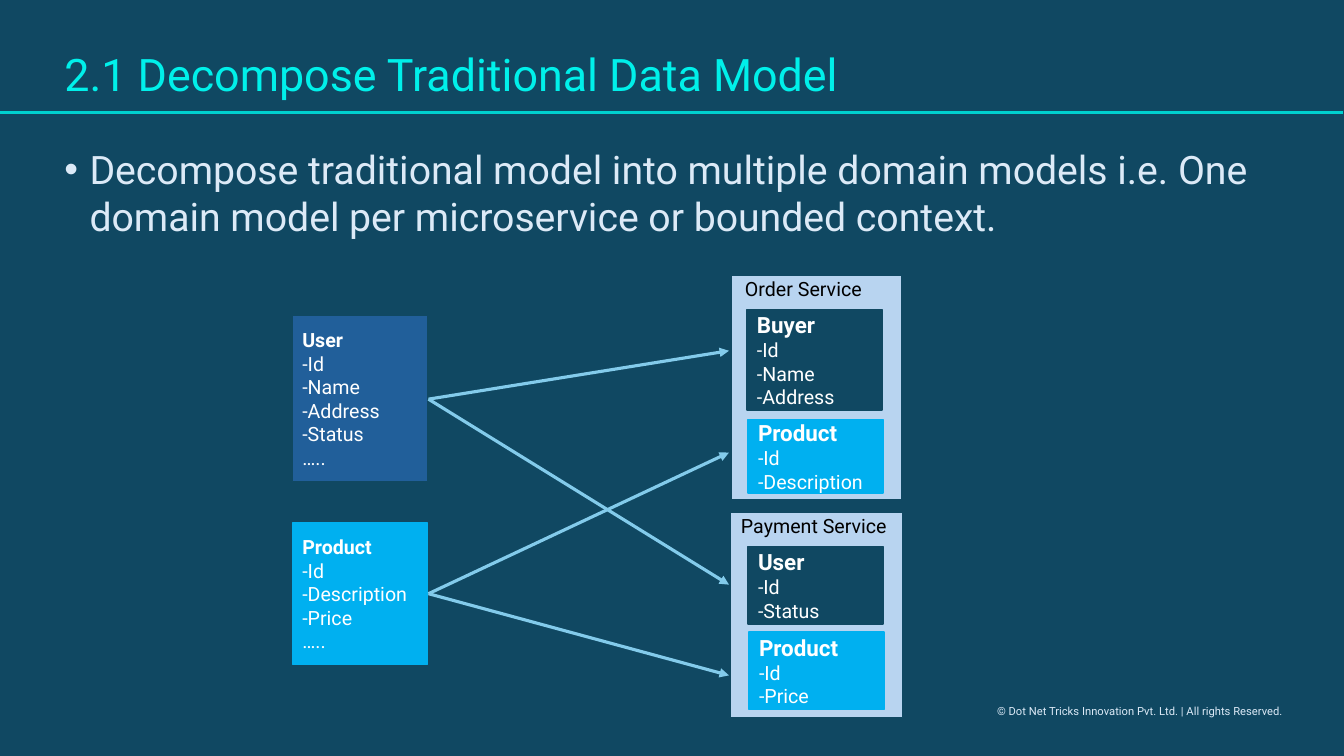
from lxml import etree
from pptx import Presentation
from pptx.dml.color import RGBColor
from pptx.enum.shapes import MSO_CONNECTOR, MSO_SHAPE
from pptx.enum.text import MSO_ANCHOR, PP_ALIGN
from pptx.oxml.ns import qn
from pptx.util import Pt

STRAIGHT = MSO_CONNECTOR.STRAIGHT
RECTANGLE = MSO_SHAPE.RECTANGLE
TOP, MIDDLE = MSO_ANCHOR.TOP, MSO_ANCHOR.MIDDLE
LEFT = PP_ALIGN.LEFT

PX = 9144  # EMU; 100 px to the inch
FONT = "Roboto"
COLORS = {
    "navy": "104862", "teal": "00D1CF", "aqua": "00F0EA", "pale": "DCEAF7",
    "panel": "B8D4F0", "sky": "00B0F0", "blue": "215F9A", "arrow": "83CBEB",
    "white": "FFFFFF", "black": "000000",
}

TITLE = "2.1 Decompose Traditional Data Model"
BODY = ("Decompose traditional model into multiple domain models i.e. One "
        "domain model per microservice or bounded context.")
COPYRIGHT = "© Dot Net Tricks Innovation Pvt. Ltd. | All rights Reserved."

# Boxes are (left, top, width, height) in px
SERVICES = [
    ("Order Service", (729, 270, 163, 34), (725, 273, 169, 223)),
    ("Payment Service", (725, 505, 171, 34), (724, 508, 171, 204)),
]
# name, fields, box, fill, line, heading size
MODELS = [
    ("User", ["Id", "Name", "Address", "Status"], (290, 313, 134, 165), "blue", "navy", 14),
    ("Product", ["Id", "Description", "Price"], (290, 519, 134, 140), "sky", "sky", 14),
    ("Buyer", ["Id", "Name", "Address"], (741, 307, 134, 100), "navy", "navy", 16),
    ("Product", ["Id", "Description"], (742, 416, 134, 73), "sky", "sky", 16),
    ("User", ["Id", "Status"], (742, 542, 134, 77), "navy", "navy", 16),
    ("Product", ["Id", "Price"], (743, 627, 134, 77), "sky", "sky", 16),
]
TRADITIONAL_SIZE = 14  # heading size of the models that go on after their last field
ARROW_START, ARROW_END = 425, 723
ARROWS = [(396, 348), (396, 580), (589, 670), (589, 449)]  # y at start and end


def color(name):
    return RGBColor.from_string(COLORS[name])


def scaled(box):
    return [length * PX for length in box]


def write(frame, lines, size=14, ink="white", heading_size=None, anchor=TOP,
          wrap=True, bullet=False, line_spacing=None):
    """Fill a text frame; a heading size makes the first line a bold heading."""
    frame.word_wrap = wrap
    frame.vertical_anchor = anchor
    for index, line in enumerate(lines):
        paragraph = frame.paragraphs[0] if index == 0 else frame.add_paragraph()
        paragraph.alignment = LEFT
        if line_spacing:
            paragraph.line_spacing = line_spacing
        if bullet:
            properties = paragraph._p.get_or_add_pPr()
            properties.set("marL", str(25 * PX))
            properties.set("indent", str(-25 * PX))
            etree.SubElement(properties, qn("a:buFont"), typeface="Arial")
            etree.SubElement(properties, qn("a:buChar"), char="•")
        is_heading = heading_size is not None and index == 0
        run = paragraph.add_run()
        run.text = line
        run.font.name = FONT
        run.font.size = Pt(heading_size if is_heading else size)
        run.font.bold = is_heading
        run.font.color.rgb = color(ink)


def add_text(slide, text, box, **text_format):
    write(slide.shapes.add_textbox(*scaled(box)).text_frame, [text], **text_format)


def add_box(slide, box, fill, line):
    shape = slide.shapes.add_shape(RECTANGLE, *scaled(box))
    shape.shadow.inherit = False
    shape.fill.solid()
    shape.fill.fore_color.rgb = color(fill)
    shape.line.color.rgb = color(line)
    shape.line.width = Pt(1)
    return shape


def add_line(slide, points, ink, width, arrow=False):
    connector = slide.shapes.add_connector(STRAIGHT, *scaled(points))
    connector.line.color.rgb = color(ink)
    connector.line.width = Pt(width)
    if arrow:
        etree.SubElement(connector.line._get_or_add_ln(), qn("a:tailEnd"), type="triangle")
    etree.SubElement(connector._element.spPr, qn("a:effectLst"))


def main():
    presentation = Presentation()
    presentation.slide_width, presentation.slide_height = scaled((1333, 750))
    slide = presentation.slides.add_slide(presentation.slide_layouts[6])
    slide.background.fill.solid()
    slide.background.fill.fore_color.rgb = color("navy")

    add_text(slide, COPYRIGHT, (979, 694, 305, 24), size=8, ink="pale", wrap=False)
    add_line(slide, (0, 112, 1332, 112), "teal", 2)
    add_text(slide, TITLE, (54, 47, 1216, 58), size=32, ink="aqua", line_spacing=0.9)
    add_text(slide, BODY, (54, 139, 1216, 265), size=28, ink="pale", bullet=True)

    for name, label_box, panel_box in SERVICES:
        add_box(slide, panel_box, "panel", "navy")
        add_text(slide, name, label_box, ink="black")

    for name, fields, box, fill, line, heading_size in MODELS:
        lines = [name] + [f"-{field}" for field in fields]
        if heading_size == TRADITIONAL_SIZE:
            lines.append("…..")
        shape = add_box(slide, box, fill, line)
        write(shape.text_frame, lines, heading_size=heading_size, anchor=MIDDLE)

    for start_y, end_y in ARROWS:
        add_line(slide, (ARROW_START, start_y, ARROW_END, end_y), "arrow", 2.25, arrow=True)

    presentation.save("out.pptx")


if __name__ == "__main__":
    main()
